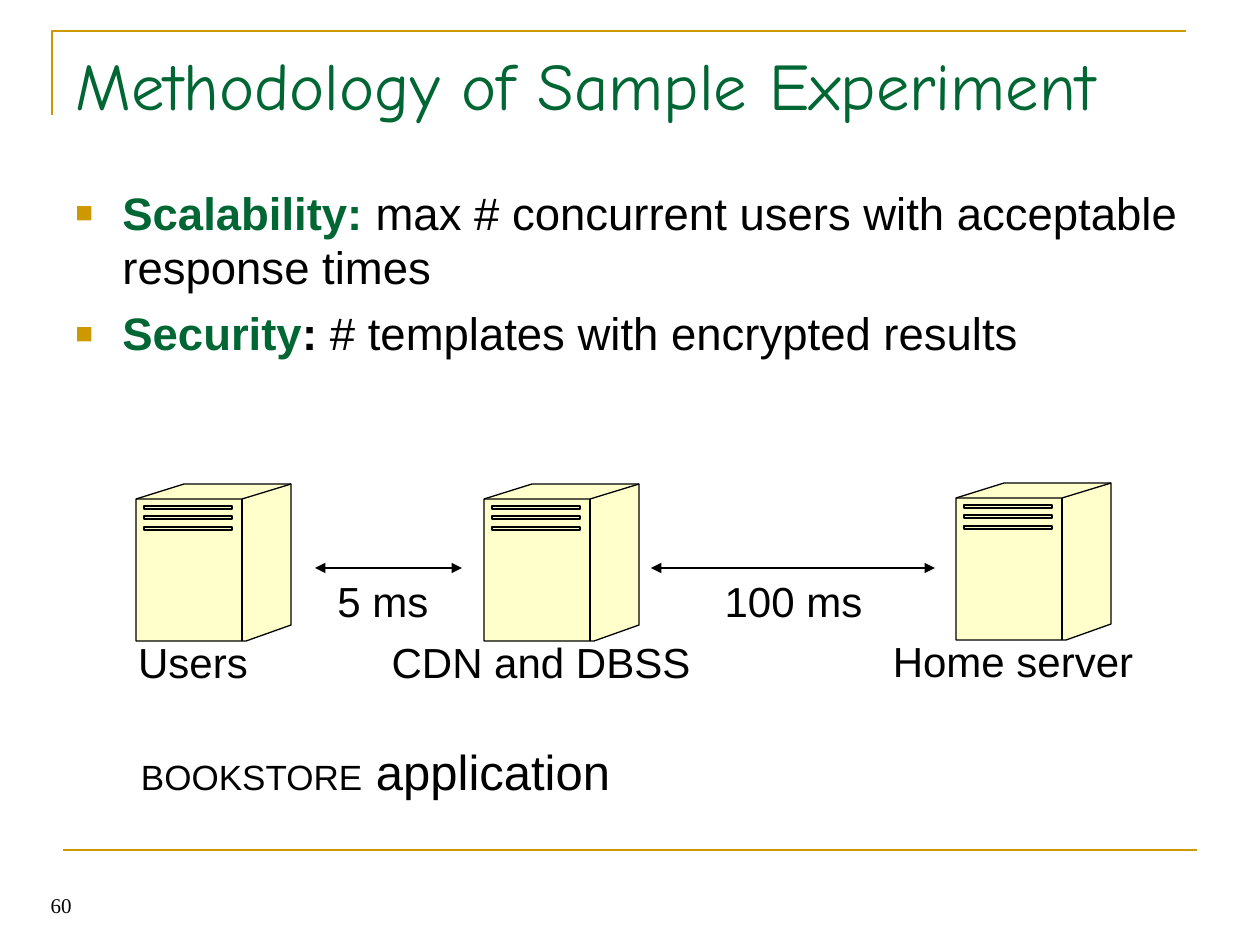
from lxml import etree
from pptx import Presentation
from pptx.dml.color import RGBColor
from pptx.enum.shapes import MSO_CONNECTOR as Connector
from pptx.enum.text import MSO_ANCHOR as Anchor, PP_ALIGN as Align
from pptx.oxml.ns import qn
from pptx.util import Pt

SCALE = 914400 / 126  # EMU per px


def px(length):
    return round(length * SCALE)


def color(hex_string):
    return RGBColor.from_string(hex_string)


class SlideBuilder:
    GOLD, GREEN, BLACK, CREAM = "CC9900", "006633", "000000", "FFFFCC"
    BODY_FONT, TITLE_FONT, NUMBER_FONT = "Arial", "Comic Neue", "Times New Roman"

    def __init__(self, slide):
        self.slide = slide

    def place(self, shape, left, top, width, height):
        shape.left, shape.top = px(left), px(top)
        shape.width, shape.height = px(width), px(height)

    def style_run(self, run, size, hex_color=BLACK, bold=False, font=BODY_FONT):
        run.font.name, run.font.size, run.font.bold = font, Pt(size), bold
        run.font.color.rgb = color(hex_color)

    def title(self, text, *box):
        shape = self.slide.shapes.title
        self.place(shape, *box)
        frame = shape.text_frame
        frame.text = text
        frame.vertical_anchor = Anchor.TOP
        frame.margin_top = px(6)
        frame.paragraphs[0].alignment = Align.LEFT
        self.style_run(frame.paragraphs[0].runs[0], 38, self.GREEN, font=self.TITLE_FONT)

    def text_box(self, box, anchor=Anchor.TOP, top_margin=6):
        shape = self.slide.shapes.add_textbox(*map(px, box))
        frame = shape.text_frame
        frame.word_wrap, frame.vertical_anchor = True, anchor
        frame.margin_top = px(top_margin)
        return frame

    def text(self, parts, box, align=Align.CENTER, font=BODY_FONT, **frame_options):
        paragraph = self.text_box(box, **frame_options).paragraphs[0]
        paragraph.alignment = align
        for words, size in parts:
            run = paragraph.add_run()
            run.text = words
            self.style_run(run, size, font=font)

    def bullets(self, items, box):
        frame = self.text_box(box)
        for index, parts in enumerate(items):
            paragraph = frame.add_paragraph() if index else frame.paragraphs[0]
            self.add_bullet(paragraph)
            if index:
                paragraph.space_before = Pt(6.5)
            for words, hex_color, bold in parts:
                run = paragraph.add_run()
                run.text = words
                self.style_run(run, 26, hex_color, bold)

    def add_bullet(self, paragraph):
        properties = paragraph._p.get_or_add_pPr()
        properties.set("marL", str(px(47)))
        properties.set("indent", str(-px(47)))
        bullet_color = etree.SubElement(properties, qn("a:buClr"))
        etree.SubElement(bullet_color, qn("a:srgbClr"), val=self.GOLD)
        etree.SubElement(properties, qn("a:buSzPct"), val="65000")
        etree.SubElement(properties, qn("a:buFont"), typeface=self.BODY_FONT)
        etree.SubElement(properties, qn("a:buChar"), char="■")

    def line(self, start, end, hex_color, arrows=False):
        connector = self.slide.shapes.add_connector(
            Connector.STRAIGHT, *map(px, start + end))
        connector.line.color.rgb = color(hex_color)
        connector.line.width = Pt(1.5)
        if arrows:
            outline = connector.line._get_or_add_ln()
            for tag in ("a:headEnd", "a:tailEnd"):
                etree.SubElement(outline, qn(tag), type="triangle")
        etree.SubElement(connector._element.spPr, qn("a:effectLst"))

    def outline(self, contours, left, top, hex_color, width, fill=None):
        """Draw contours given in px from (left, top); a fill closes them."""
        first, *others = contours
        builder = self.slide.shapes.build_freeform(*first[0], scale=SCALE)
        builder.add_line_segments(first[1:], close=bool(fill))
        for contour in others:
            builder.move_to(*contour[0])
            builder.add_line_segments(contour[1:], close=bool(fill))
        shape = builder.convert_to_shape(px(left), px(top))
        shape.shadow.inherit = False
        if fill:
            shape.fill.solid()
            shape.fill.fore_color.rgb = color(fill)
        else:
            shape.fill.background()
        shape.line.color.rgb = color(hex_color)
        shape.line.width = Pt(width)

    def server(self, label, left, top):
        body = [(0, 15), (48, 0), (155, 0), (155, 141), (110, 157), (0, 157)]
        edges = [[(0, 15), (106, 15), (155, 0)], [(106, 15), (106, 157)]]
        slots = [[(8, y), (96, y), (96, y + 3), (8, y + 3), (8, y)]
                 for y in (22, 32, 43)]
        self.outline([body], left, top, self.BLACK, 0.75, self.CREAM)
        self.outline(edges + slots, left, top, self.BLACK, 0.75)
        self.text([(label, 24)], (left - 113, top + 148, 340, 60),
                  anchor=Anchor.MIDDLE)


def main():
    presentation = Presentation()
    presentation.slide_width, presentation.slide_height = px(1260), px(945)
    slide = presentation.slides.add_slide(presentation.slide_layouts[5])
    builder = SlideBuilder(slide)
    gold, green, black = builder.GOLD, builder.GREEN, builder.BLACK

    # Frame lines and slide number
    builder.outline([[(0, 84), (0, 0), (1134, 0)]], 52, 31, gold, 1.5)
    builder.line((63, 850), (1197, 850), gold)
    builder.text([("60", 12)], (0, 861, 84, 63), Align.RIGHT,
                 builder.NUMBER_FONT, anchor=Anchor.BOTTOM)

    # Title and bullets
    builder.title("Methodology of Sample Experiment", 63, 38, 1134, 158)
    builder.bullets([
        [("Scalability:", green, True),
         (" max # concurrent users with acceptable response times", black, False)],
        [("Security", green, True), (":", black, True),
         (" # templates with encrypted results", black, False)],
    ], (63, 179, 1176, 179))

    # Servers
    for label, left, top in (("Users", 136, 484), ("CDN and DBSS", 484, 484),
                             ("Home server", 956, 483)):
        builder.server(label, left, top)

    # Latencies between servers
    for label, start, end, left, width, align in (
            ("5 ms", 315, 462, 325, 136, Align.LEFT),
            ("100 ms", 651, 935, 704, 179, Align.CENTER)):
        builder.line((start, 568), (end, 568), black, arrows=True)
        builder.text([(label, 24)], (left, 568, width, 63), align, top_margin=8)

    # Application
    builder.text([("BOOKSTORE", 20), (" application", 28)], (34, 735, 683, 72))

    presentation.save("out.pptx")


if __name__ == "__main__":
    main()
